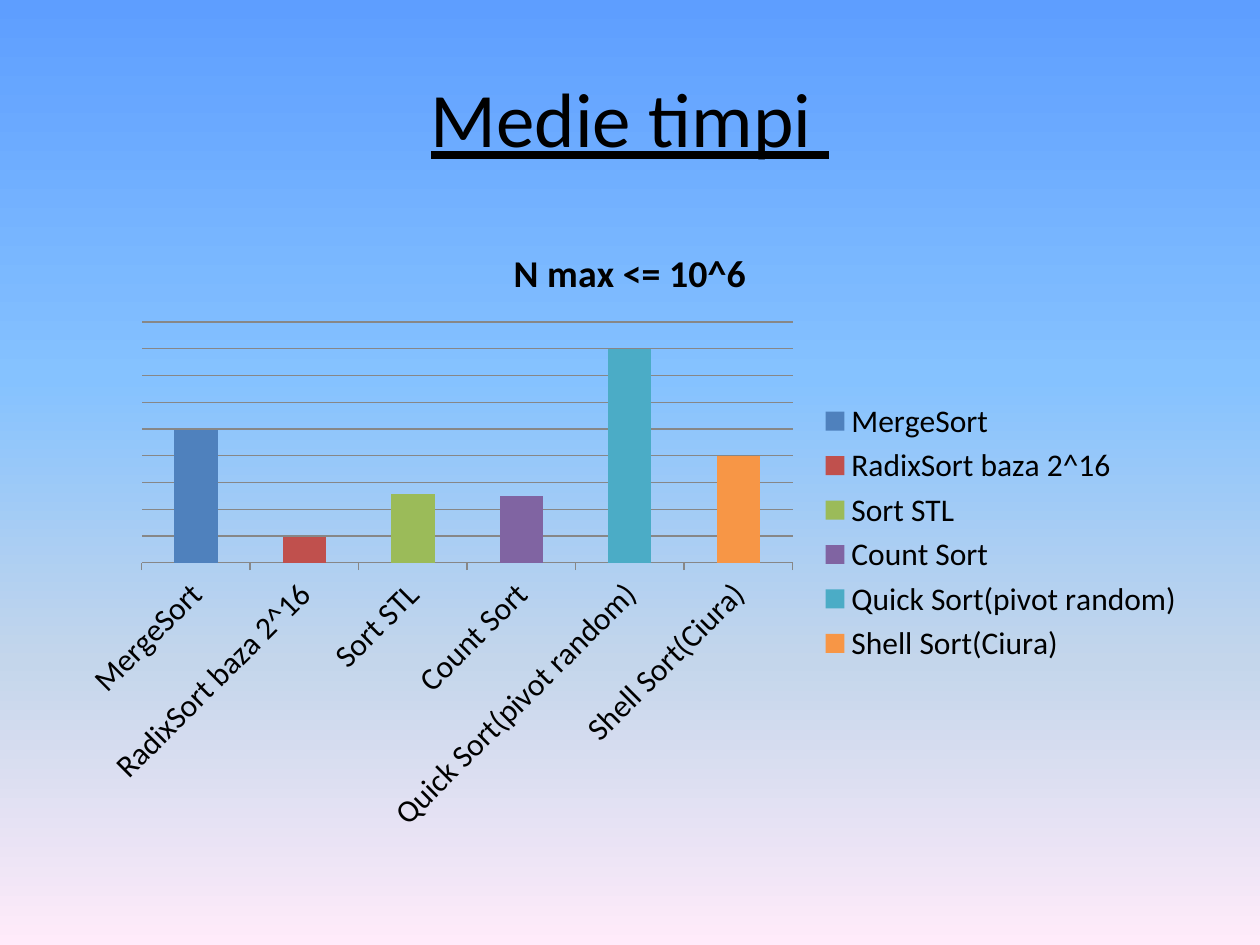
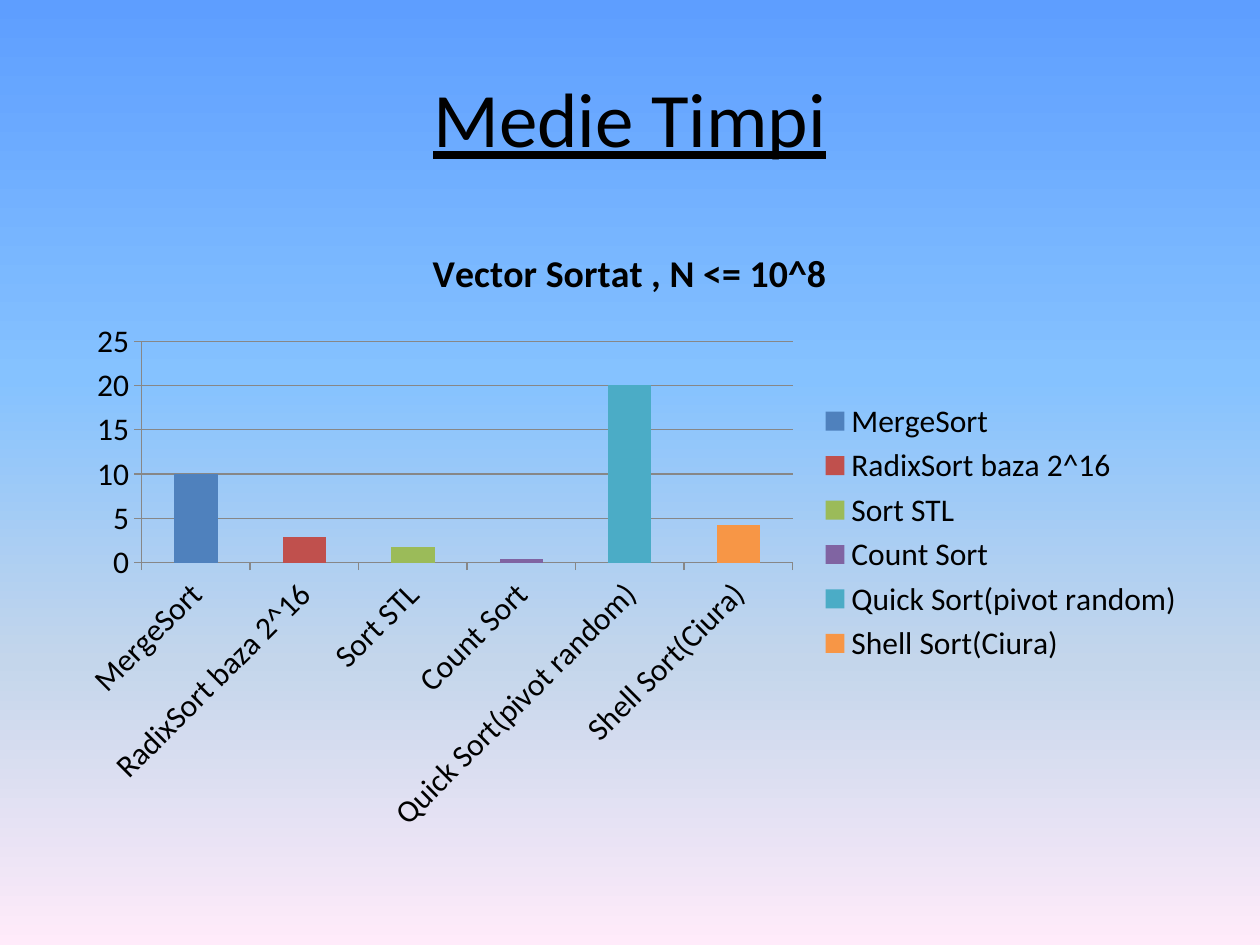
"""Two slides comparing average sorting times in column charts."""
from copy import deepcopy
from dataclasses import dataclass
from typing import Optional

from pptx import Presentation
from pptx.chart.axis import ValueAxis
from pptx.chart.chart import Chart
from pptx.chart.data import CategoryChartData
from pptx.dml.color import RGBColor
from pptx.dml.line import LineFormat
from pptx.enum.chart import XL_CHART_TYPE as ChartType
from pptx.enum.chart import XL_LEGEND_POSITION as LegendPosition
from pptx.enum.chart import XL_TICK_MARK as TickMark
from pptx.enum.text import MSO_ANCHOR as Anchor
from pptx.enum.text import PP_ALIGN as Align
from pptx.oxml.ns import qn
from pptx.slide import Slide, SlideMaster
from pptx.text.text import TextFrame
from pptx.util import Pt

FONT = "Calibri"
COLORS = {
    "text": "000000",
    "line": "878787",
    "sky": "5E9EFF",
    "light_sky": "85C2FF",
    "mist": "C4D6EB",
    "blush": "FFEBFA",
}
BACKGROUND_STOPS = {"sky": 0, "light_sky": 0.4, "mist": 0.7, "blush": 1}
ALGORITHM_COLORS = {
    "MergeSort": "4F81BD",
    "RadixSort baza 2^16": "C0504D",
    "Sort STL": "9BBB59",
    "Count Sort": "8064A2",
    "Quick Sort(pivot random)": "4BACC6",
    "Shell Sort(Ciura)": "F79646",
}
LEFT, WIDTH = Pt(36), Pt(648)


@dataclass(frozen=True)
class TimingSlide:
    """Content of one timing comparison."""

    title: str
    chart_title: str
    times: tuple[float, ...]
    axis_maximum: float
    axis_step: float
    axis_visible: bool = True


TIMING_SLIDES = (
    TimingSlide("Medie timpi ", "N max <= 10^6", (62, 12, 32, 31, 100, 50), 112.5, 12.5, False),
    TimingSlide("Medie Timpi", "Vector Sortat , N <= 10^8", (10, 2.9, 1.8, 0.4, 20, 4.3), 25, 5),
)


def rgb(name: str) -> RGBColor:
    """Look up a named colour."""
    return RGBColor.from_string(COLORS[name])


def write_text(
    frame: TextFrame,
    text: str,
    *,
    size: float,
    bold: bool = False,
    underline: bool = False,
    align: Optional[Align] = None,
) -> None:
    """Write one formatted paragraph into a text frame."""
    paragraph = frame.paragraphs[0]
    paragraph.alignment = align
    run = paragraph.add_run()
    run.text = text
    run.font.name = FONT
    run.font.size = Pt(size)
    run.font.bold = bold
    run.font.underline = underline
    run.font.color.rgb = rgb("text")


def paint_background(master: SlideMaster) -> None:
    """Give every slide the shared vertical gradient."""
    fill = master.background.fill
    fill.gradient()
    fill.gradient_angle = 270
    stop_list = next(master.element.iter(qn("a:gsLst")))
    for _ in range(len(BACKGROUND_STOPS) - len(stop_list)):
        stop_list.append(deepcopy(stop_list[0]))
    for stop, (name, position) in zip(fill.gradient_stops, BACKGROUND_STOPS.items()):
        stop.color.rgb = rgb(name)
        stop.position = position


def add_title(slide: Slide, text: str) -> None:
    """Add the centred, underlined slide title."""
    frame = slide.shapes.add_textbox(LEFT, Pt(21.6), WIDTH, Pt(90)).text_frame
    frame.word_wrap = True
    frame.vertical_anchor = Anchor.MIDDLE
    write_text(frame, text, size=44, underline=True, align=Align.CENTER)


def style_line(line: LineFormat) -> None:
    """Apply the thin grey line of axes and grids."""
    line.color.rgb = rgb("line")
    line.width = Pt(0.75)


def style_value_axis(axis: ValueAxis, timing: TimingSlide) -> None:
    """Scale the value axis and draw its grid."""
    axis.minimum_scale = 0
    axis.maximum_scale = timing.axis_maximum
    axis.major_unit = timing.axis_step
    axis.visible = timing.axis_visible
    axis.has_major_gridlines = True
    style_line(axis.major_gridlines.format.line)


def style_columns(chart: Chart) -> None:
    """Colour each column by its algorithm."""
    plot = chart.plots[0]
    plot.vary_by_categories = True
    plot.gap_width = 150
    plot.overlap = 100
    for index, color in enumerate(ALGORITHM_COLORS.values()):
        fill = plot.series[0].points[index].format.fill
        fill.solid()
        fill.fore_color.rgb = RGBColor.from_string(color)


def add_timing_chart(slide: Slide, timing: TimingSlide) -> None:
    """Add the column chart of average times."""
    data = CategoryChartData()
    data.categories = list(ALGORITHM_COLORS)
    data.add_series("Series 1", timing.times)
    chart = slide.shapes.add_chart(
        ChartType.COLUMN_STACKED, LEFT, Pt(126), WIDTH, Pt(356.4), data
    ).chart
    chart.font.name = FONT
    chart.font.size = Pt(18)
    chart.font.color.rgb = rgb("text")
    chart.has_title = True
    chart.chart_title.include_in_layout = False
    write_text(chart.chart_title.text_frame, timing.chart_title, size=21.6, bold=True)
    chart.has_legend = True
    chart.legend.position = LegendPosition.RIGHT
    chart.legend.include_in_layout = False
    for axis in (chart.category_axis, chart.value_axis):
        axis.major_tick_mark = TickMark.OUTSIDE
        axis.minor_tick_mark = TickMark.NONE
        style_line(axis.format.line)
    style_value_axis(chart.value_axis, timing)
    style_columns(chart)


def main() -> None:
    """Build and save the presentation."""
    presentation = Presentation()
    presentation.slide_width, presentation.slide_height = Pt(720), Pt(540)
    paint_background(presentation.slide_master)
    for timing in TIMING_SLIDES:
        slide = presentation.slides.add_slide(presentation.slide_layouts[6])
        add_title(slide, timing.title)
        add_timing_chart(slide, timing)
    presentation.save("out.pptx")


main()
